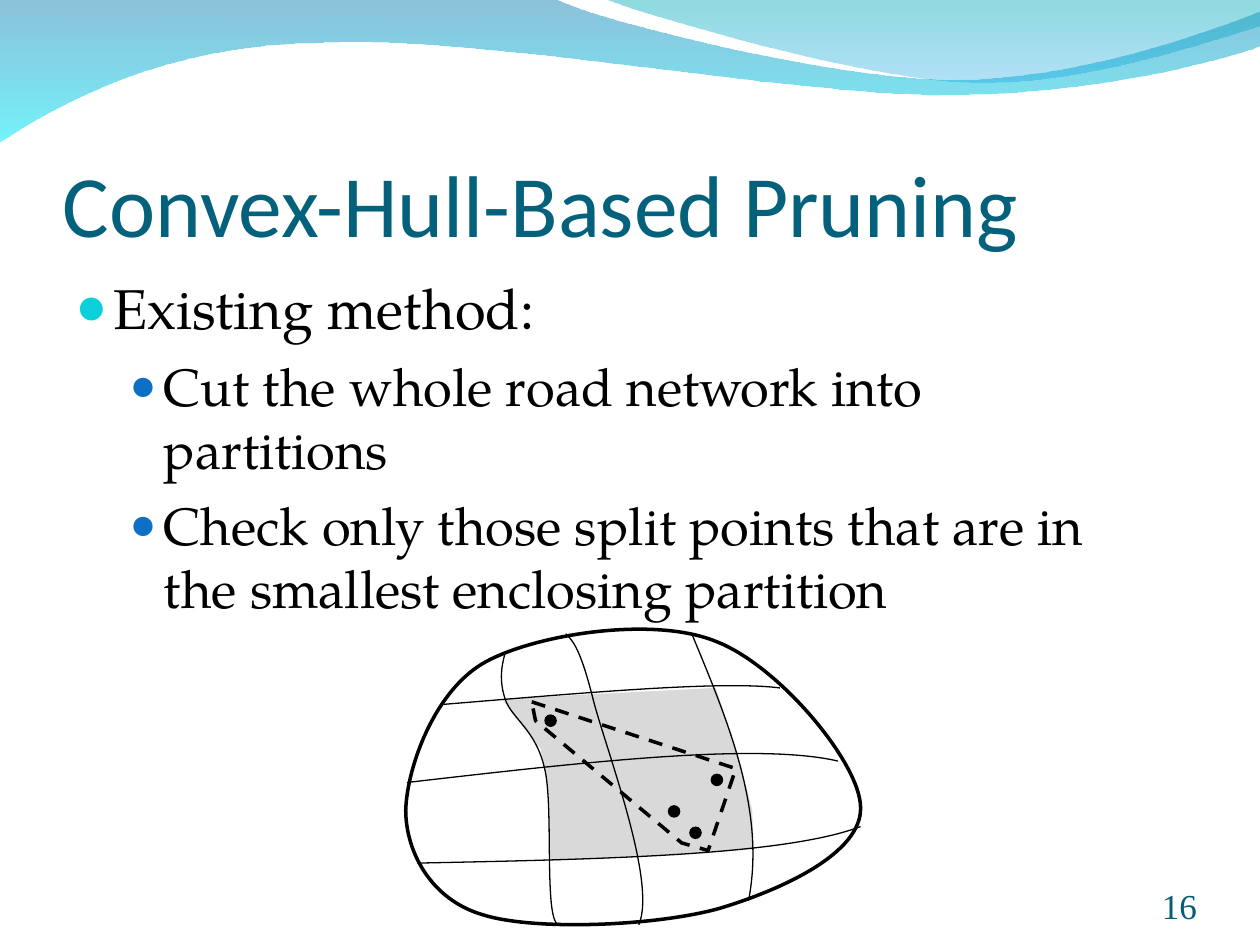
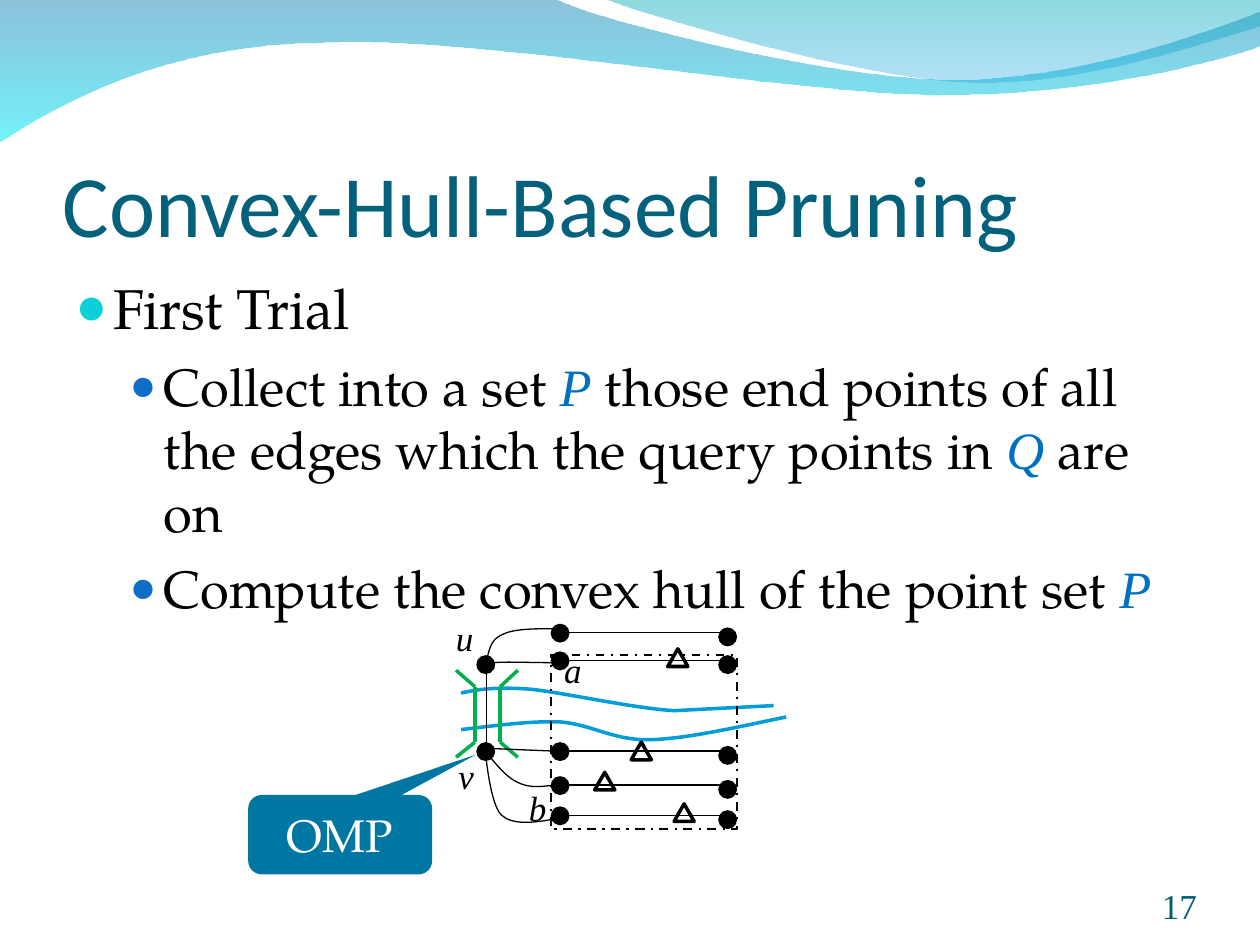
from dataclasses import dataclass

from lxml import etree
from pptx import Presentation
from pptx.dml.color import RGBColor
from pptx.enum.dml import MSO_LINE
from pptx.enum.shapes import MSO_CONNECTOR, MSO_SHAPE
from pptx.enum.text import MSO_ANCHOR, MSO_AUTO_SIZE, PP_ALIGN
from pptx.oxml.ns import qn
from pptx.util import Cm, Pt

ELLIPSE, TRIANGLE, RECTANGLE = MSO_SHAPE.OVAL, MSO_SHAPE.ISOSCELES_TRIANGLE, MSO_SHAPE.RECTANGLE
CALLOUT = MSO_SHAPE.ROUNDED_RECTANGULAR_CALLOUT
STRAIGHT = MSO_CONNECTOR.STRAIGHT
DASH, DASH_DOT = MSO_LINE.DASH, MSO_LINE.DASH_DOT
TOP, MIDDLE, BOTTOM = MSO_ANCHOR.TOP, MSO_ANCHOR.MIDDLE, MSO_ANCHOR.BOTTOM
LEFT, CENTER, RIGHT = PP_ALIGN.LEFT, PP_ALIGN.CENTER, PP_ALIGN.RIGHT

HEADING, BODY, SERIF = "Calibri", "TeX Gyre Pagella", "Times New Roman"
BLACK, WHITE, GREY = "000000", "FFFFFF", "D9D9D9"
TITLE_BLUE, NUMBER_BLUE, MATH_BLUE = "04617B", "045C75", "0070C0"
RIVER_BLUE, BRIDGE_GREEN, CALLOUT_BLUE = "009DD9", "00B050", "0076A3"
THIN, THICK = 0.75, 2
DOT = 0.15
TITLE = "Convex-Hull-Based Pruning"


@dataclass
class Outline:
    """A path: each step is a point (x, y) or a Bezier curve of three points."""
    start: tuple
    steps: list
    line: str | None = BLACK
    weight: float = THIN
    fill: str | None = None
    dash: object = None
    closed: bool = False


@dataclass
class Band:
    """A wave at the head of the slide; stops hold colour and opacity in percent."""
    outline: Outline
    stops: list


@dataclass
class BulletStyle:
    indent: float
    hang: float
    before: float
    colour: str
    percent: int
    size: float


BULLETS = [BulletStyle(0.3, 0.3, 8, "0BD0D9", 95, 32),
           BulletStyle(0.7, 0.27, 7.5, "0F6FC6", 85, 30)]

BANDS = [
    Band(Outline((0, -0.01), [
        (4.4, -0.01), (4.76, 0.17, 6.64, 0.63, 7.58, 0.63), (8.53, 0.63, 9.58, 0.26, 10, 0.09),
        (10.01, 0.36), (9.83, 0.44, 8.7, 0.76, 7.46, 0.75), (6.22, 0.75, 3.82, 0.28, 2.57, 0.34),
        (1.29, 0.35, 0.46, 0.83, -0.01, 1.13), (0, -0.01)], line=None, closed=True),
        [("0079AF", 45), ("00EBF8", 55)]),
    Band(Outline((4.79, -0.01), [
        (5.09, 0.11, 6.82, 0.62, 7.69, 0.65), (8.56, 0.69, 9.61, 0.32, 10, 0.21), (10, 0),
        (4.79, -0.01)], line=None, closed=True),
        [("00ADB6", 45), ("009BE5", 30)]),
]

ROAD_NETWORK = [
    # smallest enclosing partition
    Outline((3.99, 5.55), [
        (4.7, 5.51), (5.68, 5.46), (5.86, 6), (5.97, 6.43), (5.98, 6.74), (5.55, 6.77),
        (5.07, 6.8), (4.37, 6.83), (4.35, 6.25), (4.32, 6.1), (4.29, 5.94), (4.07, 5.67),
        (3.99, 5.55)], line=None, fill=GREY, closed=True),
    # border of the network
    Outline((3.22, 6.43), [
        (3.23, 6.09, 3.45, 5.47, 3.86, 5.25), (4.27, 5.03, 5.19, 4.89, 5.68, 5.09),
        (6.18, 5.28, 6.83, 6.06, 6.83, 6.41), (6.84, 6.77, 6.21, 7.06, 5.71, 7.21),
        (5.21, 7.35, 4.24, 7.39, 3.83, 7.26), (3.42, 7.14, 3.22, 6.76, 3.22, 6.43)],
        weight=THICK, closed=True),
    # cuts across
    Outline((3.52, 5.59), [(4.62, 5.5, 5.73, 5.4, 6.19, 5.46)]),
    Outline((3.23, 6.21), [(4.62, 6.05, 6.01, 5.89, 6.65, 6.04)]),
    Outline((3.31, 6.85), [(4.77, 6.82, 6.23, 6.79, 6.83, 6.56)]),
    # cuts down
    Outline((4.01, 5.18), [(3.98, 5.29, 3.96, 5.4, 4.01, 5.55), (4.06, 5.7, 4.25, 5.79, 4.32, 6.09),
                           (4.4, 6.38, 4.31, 7.34, 4.44, 7.34)]),
    Outline((4.49, 5.03), [(4.54, 5.08, 4.6, 5.13, 4.7, 5.52), (4.79, 5.9, 5.22, 6.99, 5.07, 7.34)]),
    Outline((5.49, 5.03), [(5.78, 5.73, 6.08, 6.44, 5.94, 7.15)]),
]
QUERY_POINTS = [(5.3, 6.39), (5.47, 6.56), (5.64, 6.14), (4.32, 5.67)]
HULL = Outline((4.22, 5.57), [(5.84, 6.1), (5.62, 6.75), (5.41, 6.69), (4.25, 5.72), (4.22, 5.57)],
               weight=THICK, dash=DASH, closed=True)

EDGE_TOPS = [4.95, 5.17, 5.89, 6.16, 6.4]
RIVER = [
    Outline((3.66, 5.5), [(3.8, 5.47, 3.93, 5.45, 4.21, 5.47), (4.49, 5.5, 5.02, 5.62, 5.35, 5.64),
                          (6.14, 5.6)], RIVER_BLUE, THICK),
    Outline((3.66, 5.79), [(3.93, 5.76, 4.2, 5.72, 4.45, 5.73), (4.7, 5.75, 4.87, 5.88, 5.17, 5.87),
                           (5.47, 5.86, 5.85, 5.77, 6.24, 5.69)], RIVER_BLUE, THICK),
]
BRIDGE_SIDES = [(3.62, 3.77), (4.11, 3.97)]
ROADS = [
    Outline((4.4, 4.99), [(4.23, 4.99, 4.07, 4.99, 3.98, 5.04), (3.89, 5.08, 3.88, 5.17, 3.86, 5.26)]),
    Outline((4.41, 5.26), [(4.21, 5.26, 4, 5.25, 3.92, 5.26), (3.84, 5.27, 3.94, 5.3, 3.92, 5.31)]),
    Outline((4.4, 6.5), [(4.24, 6.53, 4.07, 6.55, 3.98, 6.47), (3.89, 6.38, 3.86, 6.01, 3.85, 5.97)]),
    Outline((4.41, 6.23), [(4.31, 6.24, 4.21, 6.26, 4.11, 6.21), (4.02, 6.17, 3.94, 6.07, 3.86, 5.97)]),
]
ROAD_LABELS = [("u", 3.52, 4.84, 0.34), ("v", 3.54, 5.94, 0.32)]
EDGE_LABELS = [("a", 4.38, 5.1, 0.34), ("b", 4.1, 6.19, 0.34)]
QUERY_TRIANGLES = [(4.72, 6.13), (5.35, 6.38), (5.3, 5.15), (5.01, 5.89)]


def length(inches: float) -> Cm:
    return Cm(inches * 2.54)


def lengths(*inches: float) -> list:
    return [length(value) for value in inches]


def rgb(colour: str) -> RGBColor:
    return RGBColor.from_string(colour)


def style(shape, fill: str | None, line: str | None, weight: float = THIN, dash=None) -> None:
    shape.shadow.inherit = False
    if fill:
        shape.fill.solid()
        shape.fill.fore_color.rgb = rgb(fill)
    else:
        shape.fill.background()
    if line:
        shape.line.color.rgb = rgb(line)
        shape.line.width = Pt(weight)
        if dash is not None:
            shape.line.dash_style = dash
    else:
        shape.line.fill.background()


def draw_outline(slide, outline: Outline):
    points = [lengths(*step[i:i + 2]) for step in outline.steps for i in range(0, len(step), 2)]
    builder = slide.shapes.build_freeform(*lengths(*outline.start))
    builder.add_line_segments(points, close=outline.closed)
    shape = builder.convert_to_shape()
    # join the three points of each curve into one Bezier segment
    segments = iter(list(shape.element.spPr.iter(qn("a:lnTo"))))
    for step in outline.steps:
        first, *others = [next(segments) for _ in range(len(step) // 2)]
        if others:
            first.tag = qn("a:cubicBezTo")
            for other in others:
                first.append(other[0])
                other.getparent().remove(other)
    style(shape, outline.fill, outline.line, outline.weight, outline.dash)
    return shape


def draw_band(slide, band: Band) -> None:
    wave = draw_outline(slide, band.outline)
    wave.fill.gradient()
    wave.fill.gradient_angle = 270
    for stop, (colour, _) in zip(wave.fill.gradient_stops, band.stops):
        stop.color.rgb = rgb(colour)
    for node, (_, opacity) in zip(wave.element.spPr.iter(qn("a:srgbClr")), band.stops):
        etree.SubElement(node, qn("a:alpha"), val=str(opacity * 1000))


def draw_shape(slide, kind, box: tuple, fill=None, line=None, weight=THIN, dash=None):
    shape = slide.shapes.add_shape(kind, *lengths(*box))
    style(shape, fill, line, weight, dash)
    return shape


def draw_dot(slide, x: float, y: float, size: float = DOT) -> None:
    draw_shape(slide, ELLIPSE, (x, y, size, size), BLACK)


def draw_line(slide, start: tuple, end: tuple, colour: str = BLACK, weight: float = THIN) -> None:
    line = slide.shapes.add_connector(STRAIGHT, *lengths(*start, *end))
    line.line.color.rgb = rgb(colour)
    line.line.width = Pt(weight)
    etree.SubElement(line.element.spPr, qn("a:effectLst"))


def set_font(font, name: str, colour: str, size: float | None = None, italic=None) -> None:
    font.name = name
    font.color.rgb = rgb(colour)
    if size:
        font.size = Pt(size)
    if italic is not None:
        font.italic = italic


def fill_frame(frame, text: str, font: tuple, anchor=TOP, align=LEFT,
               insets: tuple = (0.1, 0.05, 0.1, 0.05), wrap: bool = True) -> None:
    frame.word_wrap = wrap
    frame.vertical_anchor = anchor
    (frame.margin_left, frame.margin_top,
     frame.margin_right, frame.margin_bottom) = lengths(*insets)
    paragraph = frame.paragraphs[0]
    paragraph.text = text
    paragraph.alignment = align
    set_font(paragraph.font, *font)


def add_text(slide, box: tuple, text: str, font: tuple, **layout):
    frame = slide.shapes.add_textbox(*lengths(*box)).text_frame
    fill_frame(frame, text, font, **layout)
    return frame


def add_labels(slide, labels: list) -> None:
    for name, x, y, width in labels:
        label = add_text(slide, (x, y, width, 0.44), name, (SERIF, BLACK, 20, True), wrap=False)
        label.auto_size = MSO_AUTO_SIZE.SHAPE_TO_FIT_TEXT


def add_bullets(slide, width: float, items: list) -> None:
    """Write (level, text) items; text between asterisks is a math symbol."""
    frame = slide.shapes.add_textbox(*lengths(0.5, 2.12, width, 4.8)).text_frame
    frame.word_wrap = True
    for index, (level, text) in enumerate(items):
        bullet = BULLETS[level]
        paragraph = frame.add_paragraph() if index else frame.paragraphs[0]
        paragraph.level = level
        if index:
            paragraph.space_before = Pt(bullet.before)
        props = paragraph._p.get_or_add_pPr()
        props.set("marL", str(length(bullet.indent)))
        props.set("indent", str(-length(bullet.hang)))
        colour = etree.SubElement(props, qn("a:buClr"))
        etree.SubElement(colour, qn("a:srgbClr"), val=bullet.colour)
        etree.SubElement(props, qn("a:buSzPct"), val=str(bullet.percent * 1000))
        etree.SubElement(props, qn("a:buFont"), typeface=SERIF)
        etree.SubElement(props, qn("a:buChar"), char="●")
        set_font(paragraph.font, BODY, BLACK, bullet.size)
        for part, words in enumerate(text.split("*")):
            if words:
                run = paragraph.add_run()
                run.text = words
                if part % 2:
                    set_font(run.font, SERIF, MATH_BLUE, italic=True)


def new_slide(deck, body_width: float, items: list):
    slide = deck.slides.add_slide(deck.slide_layouts[6])
    for band in BANDS:
        draw_band(slide, band)
    add_text(slide, (0.5, 0.77, 9, 1.25), TITLE, (HEADING, TITLE_BLUE, 50),
             anchor=BOTTOM, insets=(0, 0.05, 0, 0))
    add_bullets(slide, body_width, items)
    return slide


def add_number(slide, number: int) -> None:
    add_text(slide, (8.67, 6.95, 0.83, 0.4), str(number), (SERIF, NUMBER_BLUE, 20),
             anchor=BOTTOM, align=RIGHT, insets=(0, 0, 0, 0))


def build_existing_method(deck) -> None:
    slide = new_slide(deck, 8.67, [
        (0, "Existing method:"),
        (1, "Cut the whole road network into partitions"),
        (1, "Check only those split points that are in the smallest enclosing partition")])
    for outline in ROAD_NETWORK:
        draw_outline(slide, outline)
    for x, y in QUERY_POINTS:
        draw_dot(slide, x, y, 0.1)
    draw_outline(slide, HULL)
    add_number(slide, 16)


def build_first_trial(deck) -> None:
    slide = new_slide(deck, 9.03, [
        (0, "First Trial"),
        (1, "Collect into a set *P* those end points of all the edges "
            "which the query points in *Q* are on"),
        (1, "Compute the convex hull of the point set *P*")])
    # edges with their end points
    for top in EDGE_TOPS:
        draw_dot(slide, 4.37, top)
        draw_line(slide, (5.8, top + 0.07), (4.37, top + 0.07))
        draw_dot(slide, 5.7, top + 0.03)
    # river and bridge
    for bank in RIVER:
        draw_outline(slide, bank)
    for outer, inner in BRIDGE_SIDES:
        for start, end in [((outer, 5.32), (inner, 5.45)), ((outer, 6.01), (inner, 5.89)),
                           ((inner, 5.45), (inner, 5.89))]:
            draw_line(slide, start, end, BRIDGE_GREEN, THICK)
    # roads from u and v
    for y in (5.2, 5.89):
        draw_dot(slide, 3.78, y)
    for road in ROADS:
        draw_outline(slide, road)
    add_labels(slide, ROAD_LABELS)
    draw_line(slide, (4.37, 5.96), (3.88, 5.94))
    # query points and their bounding box
    for x, y in QUERY_TRIANGLES:
        draw_shape(slide, TRIANGLE, (x, y, 0.16, 0.14), line=BLACK, weight=THICK)
    draw_line(slide, (3.86, 5.35), (3.86, 5.94))
    draw_shape(slide, RECTANGLE, (4.37, 5.2, 1.48, 1.38), line=BLACK, weight=1.25, dash=DASH_DOT)
    add_labels(slide, EDGE_LABELS)
    # callout pointing at v
    callout = draw_shape(slide, CALLOUT, (1.97, 6.31, 1.46, 0.63), CALLOUT_BLUE)
    for index, value in enumerate((0.74, -1.01, 0.17)):
        callout.adjustments[index] = value
    fill_frame(callout.text_frame, "OMP", (BODY, WHITE, 26), anchor=MIDDLE, align=CENTER)
    add_number(slide, 17)


def main() -> None:
    deck = Presentation()
    deck.slide_width, deck.slide_height = lengths(10, 7.5)
    build_existing_method(deck)
    build_first_trial(deck)
    deck.save("out.pptx")


if __name__ == "__main__":
    main()
